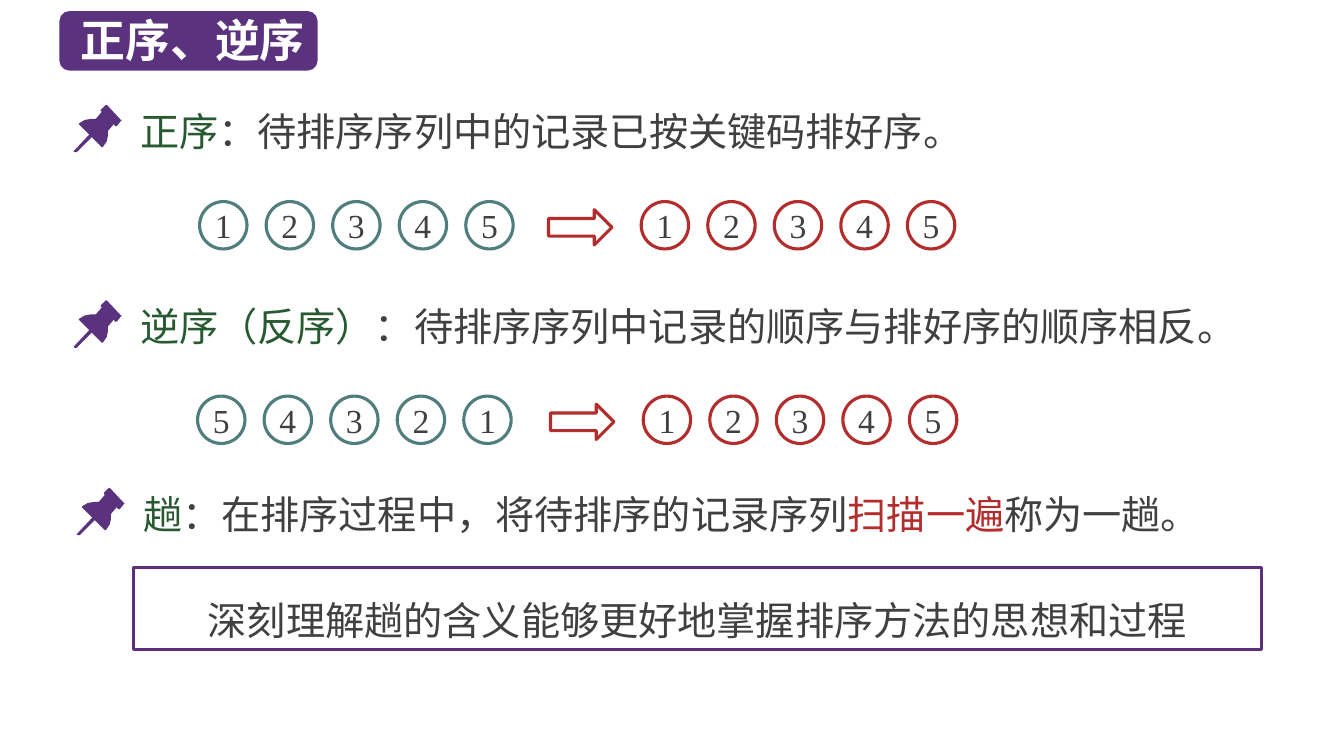
from lxml import etree
from pptx import Presentation
from pptx.dml.color import RGBColor
from pptx.enum.shapes import MSO_SHAPE
from pptx.enum.text import MSO_ANCHOR, PP_ALIGN
from pptx.oxml.ns import qn
from pptx.util import Inches, Pt

PURPLE = RGBColor(0x5A, 0x32, 0x7D)
FRAME_PURPLE = RGBColor(0x5C, 0x30, 0x7D)
GREEN = RGBColor(0x28, 0x5A, 0x32)
TEAL = RGBColor(0x50, 0x7D, 0x7D)
RED = RGBColor(0xB4, 0x2D, 0x2D)
GRAY = RGBColor(0x40, 0x40, 0x40)
WHITE = RGBColor(0xFF, 0xFF, 0xFF)

LATIN_FONT = "Times New Roman"
CHINESE_FONT = "Noto Sans CJK SC"
TITLE_ONLY_LAYOUT = 5
MIDDLE = MSO_ANCHOR.MIDDLE
LEFT, CENTER, JUSTIFY = PP_ALIGN.LEFT, PP_ALIGN.CENTER, PP_ALIGN.JUSTIFY
ROUNDED, RECTANGLE = MSO_SHAPE.ROUNDED_RECTANGLE, MSO_SHAPE.RECTANGLE
OVAL, RIGHT_ARROW = MSO_SHAPE.OVAL, MSO_SHAPE.RIGHT_ARROW

# Pushpin outlines in hundredths of an inch
PIN_HEAD = [(47, 15), (33, 0), (32, 0), (27, 5), (27, 6), (28, 7), (22, 14),
            (17, 14), (11, 15), (6, 18), (5, 19), (6, 20), (28, 42), (29, 42),
            (33, 36), (34, 31), (34, 26), (40, 19), (41, 21), (43, 21),
            (47, 16), (48, 15)]
PIN_NEEDLE = [(2, 47), (1, 47), (0, 46), (1, 45), (16, 29), (18, 29),
              (19, 31), (3, 47)]

CIRCLE_SIZE = 0.47
CIRCLE_PITCH = 0.66


def add_run(paragraph, text, size, color, font_name=LATIN_FONT, bold=False):
    run = paragraph.add_run()
    run.text = text
    font = run.font
    font.size, font.bold, font.name = Pt(size), bold, font_name
    font.color.rgb = color
    east_asian = etree.SubElement(run._r.get_or_add_rPr(), qn("a:ea"))
    east_asian.set("typeface", CHINESE_FONT)


def add_plain_shape(slide, kind, left, top, width, height, fill=None, line=None):
    shape = slide.shapes.add_shape(
        kind, Inches(left), Inches(top), Inches(width), Inches(height))
    shape.shadow.inherit = False
    paint(shape, fill, line)
    return shape


def paint(shape, fill, line):
    if fill is None:
        shape.fill.background()
    else:
        shape.fill.solid()
        shape.fill.fore_color.rgb = fill
    if line is None:
        shape.line.fill.background()
    else:
        shape.line.color.rgb = line
        shape.line.width = Pt(2.25)


def add_title(slide, text, left, top):
    badge = add_plain_shape(slide, ROUNDED, left, top, 2.56, 0.59, fill=PURPLE)
    title = slide.shapes.title
    title.left, title.top = Inches(left + 0.11), Inches(top - 0.04)
    title.width, title.height = Inches(2.52), Inches(0.64)
    badge._element.addnext(title._element)  # lift the title above its badge
    frame = title.text_frame
    frame.word_wrap = False
    frame.vertical_anchor = MIDDLE
    paragraph = frame.paragraphs[0]
    paragraph.alignment = LEFT
    paragraph.line_spacing = 1.0
    add_run(paragraph, text, 32, WHITE, CHINESE_FONT, bold=True)


def add_pushpin(slide, left, top):
    for outline in (PIN_HEAD, PIN_NEEDLE):
        builder = slide.shapes.build_freeform(*outline[0], scale=Inches(0.01))
        builder.add_line_segments(outline[1:], close=True)
        part = builder.convert_to_shape(Inches(left), Inches(top))
        part.shadow.inherit = False
        paint(part, PURPLE, None)


def add_definition(slide, left, top, pieces):
    """Place a pushpin and a line of (text, color) pieces beside it."""
    add_pushpin(slide, left, top + 0.06)
    box = slide.shapes.add_textbox(
        Inches(left + 0.56), Inches(top), Inches(11.21), Inches(0.58))
    frame = box.text_frame
    frame.word_wrap = True
    frame.vertical_anchor = MIDDLE
    paragraph = frame.paragraphs[0]
    paragraph.alignment = JUSTIFY
    paragraph.line_spacing = 1.1
    for text, color in pieces:
        add_run(paragraph, text, 28, color)


def add_circles(slide, left, top, digits, color):
    for index, digit in enumerate(digits):
        circle = add_plain_shape(slide, OVAL, left + index * CIRCLE_PITCH, top,
                                 CIRCLE_SIZE, CIRCLE_SIZE, line=color)
        frame = circle.text_frame
        frame.word_wrap = False
        frame.vertical_anchor = MIDDLE
        paragraph = frame.paragraphs[0]
        paragraph.alignment = CENTER
        add_run(paragraph, digit, 24, GRAY)


def add_sorting_row(slide, left, arrow_left, top, digits):
    """Show the digits, an arrow and the digits in sorted order."""
    add_circles(slide, left, top, digits, TEAL)
    add_plain_shape(slide, RIGHT_ARROW, arrow_left, top + 0.08, 0.63, 0.35, line=RED)
    add_circles(slide, arrow_left + 0.92, top, sorted(digits), RED)


def add_conclusion(slide, text, left, top, width, height):
    box = add_plain_shape(slide, RECTANGLE, left, top, width, height,
                          line=FRAME_PURPLE)
    frame = box.text_frame
    frame.word_wrap = True
    frame.vertical_anchor = MIDDLE
    paragraph = frame.paragraphs[0]
    paragraph.alignment = CENTER
    paragraph.line_spacing = 1.5
    add_run(paragraph, text, 28, GRAY)


def main():
    presentation = Presentation()
    presentation.slide_width = Inches(13.33)
    presentation.slide_height = Inches(7.5)
    slide = presentation.slides.add_slide(
        presentation.slide_layouts[TITLE_ONLY_LAYOUT])

    add_title(slide, "正序、逆序", 0.59, 0.11)
    add_definition(slide, 0.73, 0.98, [
        ("正序", GREEN), ("：待排序序列中的记录已按关键码排好序。", GRAY)])
    add_sorting_row(slide, 1.98, 5.44, 2.0, "12345")
    add_definition(slide, 0.73, 2.92, [
        ("逆序（反序）", GREEN),
        ("：待排序序列中记录的顺序与排好序的顺序相反。", GRAY)])
    add_sorting_row(slide, 1.96, 5.46, 3.93, "54321")
    add_conclusion(slide, "深刻理解趟的含义能够更好地掌握排序方法的思想和过程",
                   1.32, 5.63, 11.19, 0.81)
    add_definition(slide, 0.76, 4.78, [
        ("趟", GREEN), ("：在排序过程中，将待排序的记录序列", GRAY),
        ("扫描一遍", RED), ("称为一趟。", GRAY)])
    presentation.save("out.pptx")


if __name__ == "__main__":
    main()
